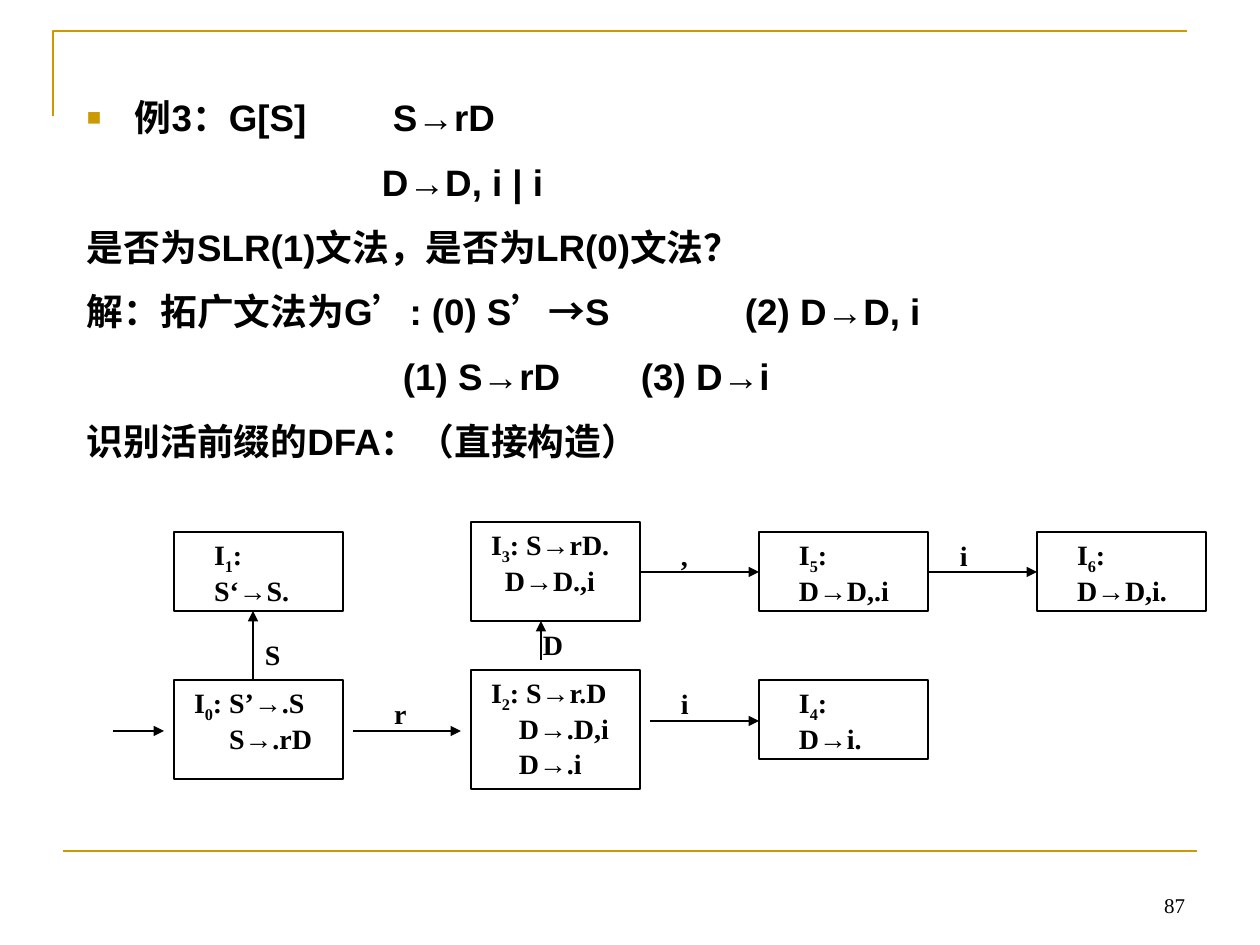
from lxml import etree
from pptx import Presentation
from pptx.dml.color import RGBColor
from pptx.enum.shapes import MSO_CONNECTOR, MSO_SHAPE
from pptx.enum.text import MSO_ANCHOR, PP_ALIGN
from pptx.oxml.ns import qn
from pptx.util import Pt

SCALE = 914400 / 126
GOLD = RGBColor(0xCC, 0x99, 0x00)
BLACK = RGBColor(0, 0, 0)
STRAIGHT = MSO_CONNECTOR.STRAIGHT
RECT = MSO_SHAPE.RECTANGLE
TOP, BOTTOM = MSO_ANCHOR.TOP, MSO_ANCHOR.BOTTOM
LEFT, RIGHT = PP_ALIGN.LEFT, PP_ALIGN.RIGHT

BODY_FONT = {"name": "Arial", "size": Pt(21), "bold": True}
DIAGRAM_FONT = {"name": "Times New Roman", "size": Pt(16), "bold": True}
NUMBER_FONT = {"name": "Times New Roman", "size": Pt(12), "bold": False}
BODY_SPACING = {"line_spacing": 1.3, "space_before": Pt(4.2)}
NODE_SPACING = {"line_spacing": 0.9, "space_before": Pt(2.9), "alignment": LEFT}

# text, left margin, tab stops
GRAMMAR = [
    ("例3：G[S]\tS→rD", 48, [306]),
    ("D→D, i | i", 295, []),
    ("是否为SLR(1)文法，是否为LR(0)文法？", 0, []),
    ("解：拓广文法为G’: (0) S’→S\t(2) D→D, i", 0, [658]),
    ("\t(1) S→rD\t(3) D→i", 0, [316, 554]),
    ("识别活前缀的DFA：（直接构造）", 0, []),
]

NODE_WIDTH = 169
COL = [174, 471, 759, 1037]
UPPER, LOWER = 532, 680
# state, left, top, height, text inset, first item, further items, their indent
NODES = [
    (0, COL[0], LOWER, 99, 20, " S’→.S", ["S→.rD"], 35),
    (1, COL[0], UPPER, 79, 40, "", ["S‘→S."], 0),
    (2, COL[1], LOWER - 10, 119, 20, " S→r.D", ["D→.D,i", "D→.i"], 28),
    (3, COL[1], UPPER - 10, 99, 20, " S→rD.", ["D→D.,i"], 14),
    (4, COL[2], LOWER, 79, 40, "", ["D→i."], 0),
    (5, COL[2], UPPER, 79, 40, "", ["D→D,.i"], 0),
    (6, COL[3], UPPER, 79, 40, "", ["D→D,i."], 0),
]
ARROWS = [
    (113, 731, 164, 731),
    (253, 680, 253, 611),
    (353, 731, 461, 731),
    (541, 660, 541, 621),
    (640, 572, 759, 572),
    (650, 721, 759, 721),
    (927, 572, 1037, 572),
]
LABELS = [("S", 253, 621), ("D", 531, 611), (",", 669, 522),
          ("i", 948, 522), ("i", 669, 670), ("r", 382, 680)]


def px(n):
    return round(n * SCALE)


def apply(obj, values):
    for name, value in values.items():
        setattr(obj, name, value)


def add_run(p, text, font):
    r = p.add_run()
    r.text = text
    apply(r.font, font)
    r.font.color.rgb = BLACK
    return r


def set_frame(tf, left=12, right=0, anchor=TOP):
    apply(tf, {"word_wrap": True, "vertical_anchor": anchor,
               "margin_left": px(left), "margin_top": px(6),
               "margin_right": px(right), "margin_bottom": px(6)})


def add_text_box(slide, box, **frame):
    tf = slide.shapes.add_textbox(*map(px, box)).text_frame
    set_frame(tf, **frame)
    return tf


def paragraphs(tf, count, spacing):
    """Return count paragraphs, the first without space before."""
    result = [tf.paragraphs[0]] + [tf.add_paragraph() for _ in range(count - 1)]
    for p in result:
        apply(p, spacing)
    result[0].space_before = Pt(0)
    return result


def add_bullet(pPr):
    color = etree.SubElement(pPr, qn("a:buClr"))
    etree.SubElement(color, qn("a:srgbClr"), val=str(GOLD))
    etree.SubElement(pPr, qn("a:buSzPct"), val="65000")
    etree.SubElement(pPr, qn("a:buFont"), typeface="Arial")
    etree.SubElement(pPr, qn("a:buChar"), char="■")


def add_grammar(slide):
    tf = add_text_box(slide, (75, 76, 1136, 417))
    lines = paragraphs(tf, len(GRAMMAR), BODY_SPACING)
    for i, (p, (text, margin, tabs)) in enumerate(zip(lines, GRAMMAR)):
        pPr = p._p.get_or_add_pPr()
        if margin:
            pPr.set("marL", str(px(margin)))
        if i == 0:
            pPr.set("indent", str(-px(margin)))
            add_bullet(pPr)
        if tabs:
            stops = etree.SubElement(pPr, qn("a:tabLst"))
            for tab in tabs:
                etree.SubElement(stops, qn("a:tab"), pos=str(px(tab)), algn="l")
        add_run(p, text, BODY_FONT)


def add_node(slide, state, left, top, height, inset, first, items, indent):
    sp = slide.shapes.add_shape(RECT, *map(px, (left, top, NODE_WIDTH, height)))
    sp.shadow.inherit = False
    sp.fill.background()
    sp.line.color.rgb = BLACK
    sp.line.width = Pt(0.75)
    set_frame(sp.text_frame, left=inset)
    head, *rest = paragraphs(sp.text_frame, 1 + len(items), NODE_SPACING)
    add_run(head, "I", DIAGRAM_FONT)
    number = add_run(head, str(state), DIAGRAM_FONT)
    number.font._element.set("baseline", "-25000")
    add_run(head, ":" + first, DIAGRAM_FONT)
    for p, item in zip(rest, items):
        p._p.get_or_add_pPr().set("marL", str(px(indent)))
        add_run(p, item, DIAGRAM_FONT)


def add_line(slide, ends, color, width, arrow=False):
    line = slide.shapes.add_connector(STRAIGHT, *map(px, ends))
    line.line.color.rgb = color
    line.line.width = Pt(width)
    if arrow:
        etree.SubElement(line.line._get_or_add_ln(), qn("a:tailEnd"), type="triangle")
    etree.SubElement(line._element.spPr, qn("a:effectLst"))


def add_label(slide, text, left, top):
    p = add_text_box(slide, (left, top, 45, 56)).paragraphs[0]
    p.line_spacing = 1.3
    add_run(p, text, DIAGRAM_FONT)


def add_frame_lines(slide):
    corner = slide.shapes.build_freeform(px(53), px(116))
    corner.add_line_segments([(px(53), px(31)), (px(1187), px(31))], close=False)
    sp = corner.convert_to_shape()
    sp.shadow.inherit = False
    sp.fill.background()
    sp.line.color.rgb = GOLD
    sp.line.width = Pt(1.5)
    add_line(slide, (63, 851, 1197, 851), GOLD, 1.5)


def add_page_number(slide):
    tf = add_text_box(slide, (903, 861, 294, 63), right=12, anchor=BOTTOM)
    p = tf.paragraphs[0]
    p.alignment = RIGHT
    add_run(p, "87", NUMBER_FONT)


def main():
    prs = Presentation()
    prs.slide_width, prs.slide_height = px(1260), px(945)
    slide = prs.slides.add_slide(prs.slide_layouts[6])
    add_frame_lines(slide)
    add_page_number(slide)
    add_grammar(slide)
    for node in NODES:
        add_node(slide, *node)
    for ends in ARROWS:
        add_line(slide, ends, BLACK, 0.75, arrow=True)
    for label in LABELS:
        add_label(slide, *label)
    prs.save("out.pptx")


if __name__ == "__main__":
    main()
